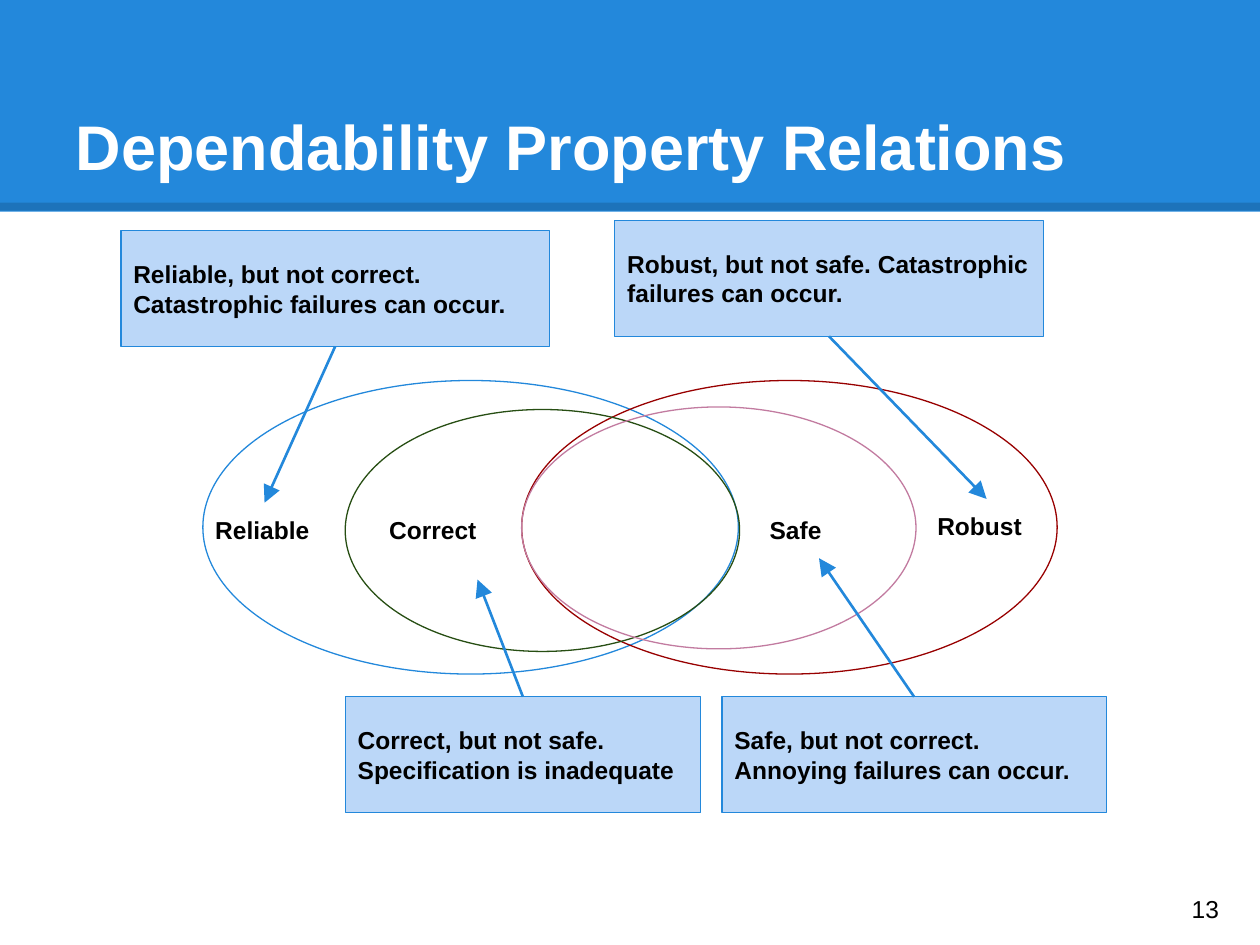
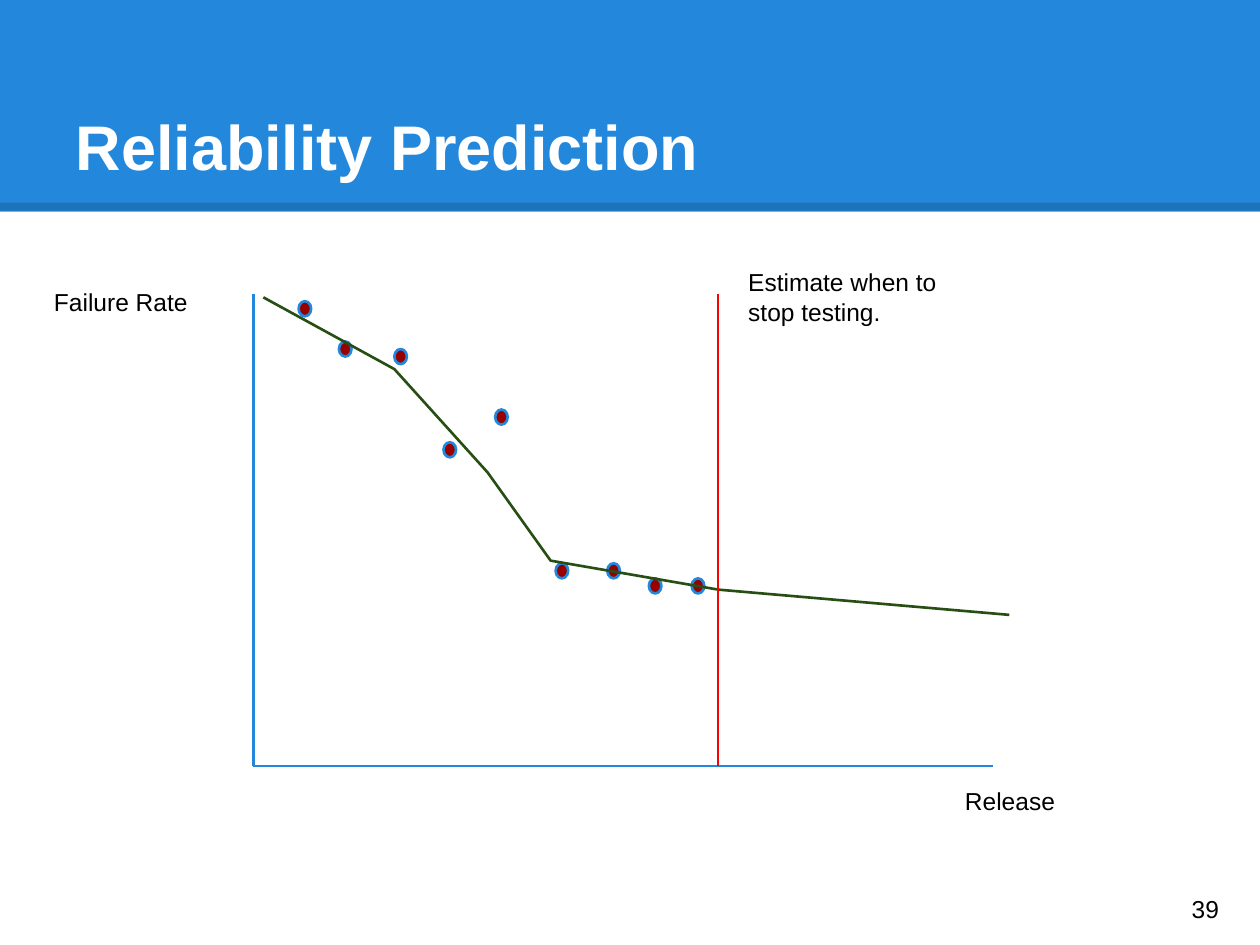
from lxml import etree
from pptx import Presentation
from pptx.dml.color import RGBColor
from pptx.enum.shapes import MSO_CONNECTOR, MSO_SHAPE
from pptx.enum.text import MSO_ANCHOR, MSO_AUTO_SIZE, PP_ALIGN
from pptx.oxml.ns import qn
from pptx.util import Inches, Pt

STRAIGHT = MSO_CONNECTOR.STRAIGHT
RECTANGLE, OVAL = MSO_SHAPE.RECTANGLE, MSO_SHAPE.OVAL
TOP, MIDDLE, BOTTOM = MSO_ANCHOR.TOP, MSO_ANCHOR.MIDDLE, MSO_ANCHOR.BOTTOM
LEFT = PP_ALIGN.LEFT
NO_AUTOFIT = MSO_AUTO_SIZE.NONE

BLUE = RGBColor(0x23, 0x88, 0xDB)
PALE_BLUE = RGBColor(0xBB, 0xD7, 0xF8)
DARK_RED = RGBColor(0x98, 0x00, 0x00)
RED = RGBColor(0xFF, 0x00, 0x00)
GREEN = RGBColor(0x27, 0x4E, 0x13)
PINK = RGBColor(0xC2, 0x7B, 0xA0)
BLACK = RGBColor(0x00, 0x00, 0x00)
WHITE = RGBColor(0xFF, 0xFF, 0xFF)

FONT = "Arial"
SIDE_TOP, SIDE_BOTTOM = 0, 2
CALLOUT_HEIGHT = 0.92
DOT_WIDTH, DOT_HEIGHT = 0.1, 0.12


def write(shape, text, size=14, color=BLACK, bold=False, anchor=TOP):
    frame = shape.text_frame
    frame.word_wrap = True
    frame.auto_size = NO_AUTOFIT
    frame.vertical_anchor = anchor
    frame.margin_left = frame.margin_right = Inches(0.1)
    frame.margin_top = frame.margin_bottom = Inches(0.1)
    frame.text = text
    paragraph = frame.paragraphs[0]
    paragraph.alignment = LEFT
    font = paragraph.runs[0].font
    font.name, font.size, font.bold = FONT, Pt(size), bold
    font.color.rgb = color


def add_label(slide, box, text, **text_format):
    label = slide.shapes.add_textbox(*map(Inches, box))
    write(label, text, **text_format)


def style(shape, fill=None, line=None, width=0.75):
    shape.shadow.inherit = False
    if fill is None:
        shape.fill.background()
    else:
        shape.fill.solid()
        shape.fill.fore_color.rgb = fill
    if line is None:
        shape.line.fill.background()
    else:
        shape.line.color.rgb = line
        shape.line.width = Pt(width)


def add_outline(slide, kind, box, **look):
    shape = slide.shapes.add_shape(kind, *map(Inches, box))
    style(shape, **look)
    return shape


def add_line(slide, start, end, color=BLUE, width=1.5):
    line = slide.shapes.add_connector(STRAIGHT, *map(Inches, (*start, *end)))
    line.line.color.rgb = color
    line.line.width = Pt(width)
    etree.SubElement(line._element.spPr, qn("a:effectLst"))
    return line


def add_arrow(slide, callout, side, tip):
    arrow = add_line(slide, tip, tip)
    arrow.begin_connect(callout, side)
    etree.SubElement(arrow.line._get_or_add_ln(), qn("a:tailEnd"),
                     type="triangle", w="lg", len="lg")


def add_framed_slide(deck, title, number):
    slide = deck.slides.add_slide(deck.slide_layouts[5])
    add_outline(slide, RECTANGLE, (0, 0, 10, 1.68), fill=BLUE)
    rule = add_line(slide, (0, 1.64), (10, 1.64), color=BLACK, width=4.5)
    rule_color = rule._element.spPr.find(".//" + qn("a:srgbClr"))
    etree.SubElement(rule_color, qn("a:alpha"), val="15000")

    heading = slide.shapes.title
    heading.left, heading.top = Inches(0.5), Inches(0.3)
    heading.width, heading.height = Inches(9), Inches(1.25)
    write(heading, title, size=36, color=WHITE, bold=True, anchor=BOTTOM)
    slide.shapes._spTree.append(heading._element)

    add_label(slide, (9.36, 6.93, 0.6, 0.57), number, anchor=MIDDLE)
    return slide


def draw_property_sets(slide, left, top):
    properties = [
        (0.65, 1.27, 4.25, 2.33, BLUE),
        (3.18, 1.27, 4.25, 2.33, DARK_RED),
        (1.78, 1.5, 3.13, 1.92, GREEN),
        (3.18, 1.48, 3.13, 1.92, PINK),
    ]
    for x, y, width, height, color in properties:
        add_outline(slide, OVAL, (left + x, top + y, width, height), line=color)

    names = [("Reliable", 0.65, 2.24), ("Correct", 2.03, 2.24),
             ("Safe", 5.05, 2.24), ("Robust", 6.38, 2.21)]
    for name, x, y in names:
        add_label(slide, (left + x, top + y, 0.98, 0.44), name, bold=True)


def draw_callouts(slide, left, top):
    callouts = [
        ("Correct, but not safe. Specification is inadequate",
         1.78, 3.78, 2.82, SIDE_TOP, (2.83, 2.85)),
        ("Safe, but not correct. Annoying failures can occur.",
         4.77, 3.78, 3.05, SIDE_TOP, (5.54, 2.68)),
        ("Robust, but not safe. Catastrophic failures can occur.",
         3.92, 0, 3.4, SIDE_BOTTOM, (6.87, 2.21)),
        ("Reliable, but not correct. Catastrophic failures can occur.",
         0, 0.08, 3.4, SIDE_BOTTOM, (1.14, 2.24)),
    ]
    for text, x, y, width, side, (tip_x, tip_y) in callouts:
        callout = add_outline(slide, RECTANGLE,
                              (left + x, top + y, width, CALLOUT_HEIGHT),
                              fill=PALE_BLUE, line=BLUE)
        write(callout, text, bold=True, anchor=MIDDLE)
        add_arrow(slide, callout, side, (left + tip_x, top + tip_y))


def draw_failure_plot(slide, left, top, width, height):
    bottom = top + height
    stop = left + 3.69
    add_line(slide, (left, top), (left, bottom))
    add_line(slide, (left, bottom), (left + width, bottom))
    add_label(slide, (left - 1.68, top - 0.15, 1.62, 0.53), "Failure Rate")
    add_label(slide, (left + width - 0.32, bottom + 0.06, 1.62, 0.53), "Release")

    failures = [(0.36, 0.06), (0.68, 0.38), (1.12, 0.44), (1.51, 1.18),
                (1.92, 0.92), (2.4, 2.14), (2.81, 2.14), (3.14, 2.26),
                (3.48, 2.26)]
    for x, y in failures:
        add_outline(slide, OVAL, (left + x, top + y, DOT_WIDTH, DOT_HEIGHT),
                    fill=DARK_RED, line=BLUE, width=1.5)

    trend = [(0.08, 0.03), (1.12, 0.6), (1.86, 1.42), (2.36, 2.12),
             (3.69, 2.35), (6, 2.55)]
    start, *rest = [(Inches(left + x), Inches(top + y)) for x, y in trend]
    curve = slide.shapes.build_freeform(*start)
    curve.add_line_segments(rest, close=False)
    style(curve.convert_to_shape(), line=GREEN, width=1.5)

    add_line(slide, (stop, top), (stop, bottom), color=RED)
    add_label(slide, (stop + 0.14, top - 0.31, 1.86, 0.61),
              "Estimate when to stop testing.")


def main():
    deck = Presentation()
    deck.slide_width, deck.slide_height = Inches(10), Inches(7.5)

    relations = add_framed_slide(deck, "Dependability Property Relations", "13")
    draw_property_sets(relations, 0.96, 1.75)
    draw_callouts(relations, 0.96, 1.75)

    prediction = add_framed_slide(deck, "Reliability Prediction", "39")
    draw_failure_plot(prediction, 2.01, 2.33, 5.87, 3.75)

    deck.save("out.pptx")


if __name__ == "__main__":
    main()
